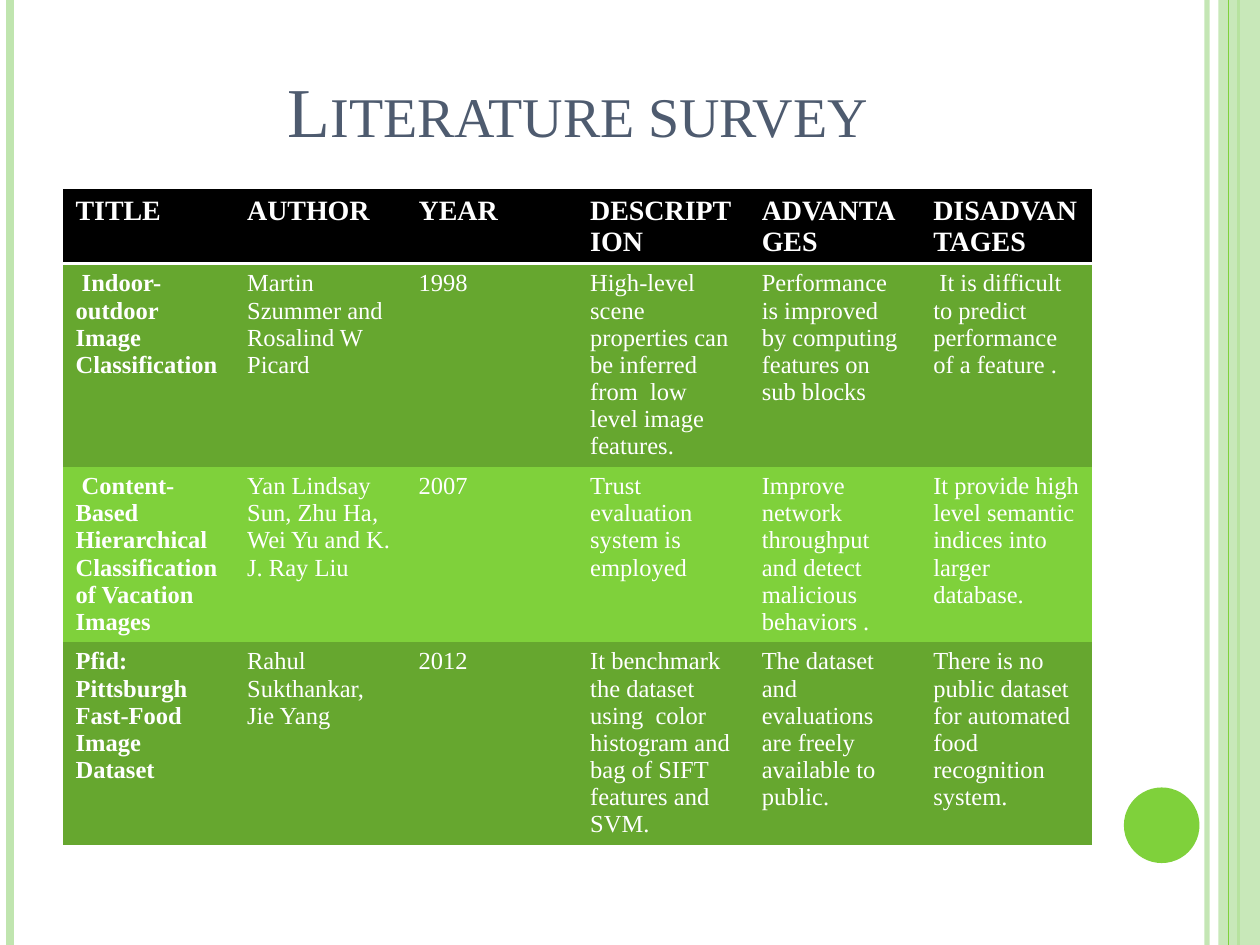
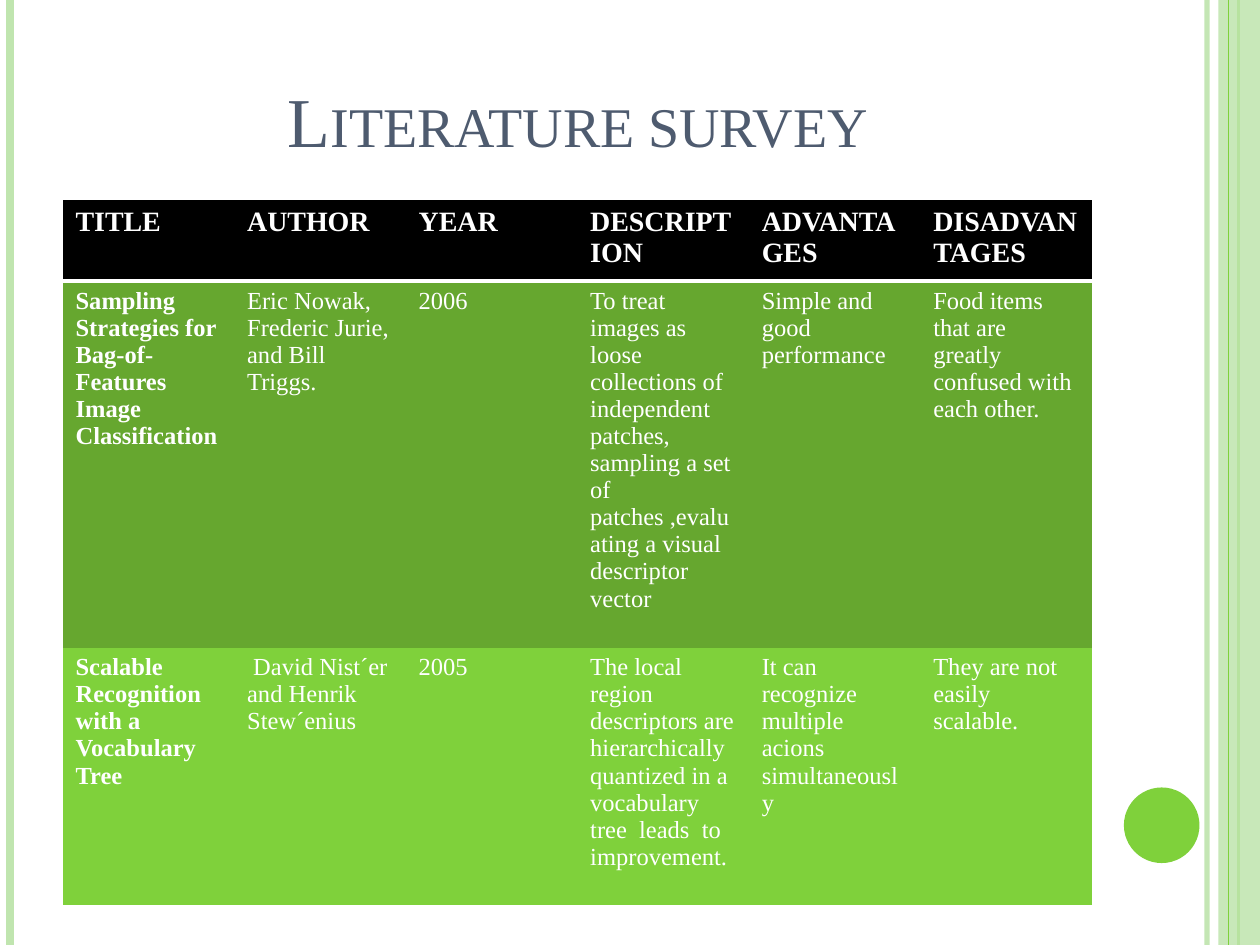
from lxml.etree import SubElement
from pptx import Presentation
from pptx.dml.color import RGBColor
from pptx.enum.shapes import MSO_CONNECTOR, MSO_SHAPE
from pptx.enum.text import MSO_ANCHOR, MSO_AUTO_SIZE, PP_ALIGN
from pptx.oxml import parse_xml
from pptx.oxml.ns import nsdecls, qn
from pptx.util import Inches, Pt

THEME = {
    "font": "Times New Roman",
    "title_size": 40, "header_size": 16, "cell_size": 14,
    "slate": "4E5B6F", "white": "FFFFFF", "black": "000000",
    "pale": "C0E5AF", "green": "7FD13B", "dark_green": "66A72F",
}
NO_TABLE_STYLE = "{2D5ABB26-0587-4C30-8999-92F81FD0307C}"


def write(paragraph, text, size, color, bold=False, italic=False, small_caps=False):
    """Add one formatted run to a paragraph."""
    run = paragraph.add_run()
    run.text = text
    font = run.font
    font.name, font.size = THEME["font"], Pt(size)
    font.bold, font.italic = bold, italic
    font.color.rgb = RGBColor.from_string(THEME[color])
    if small_caps:
        run._r.get_or_add_rPr().set("cap", "small")


def set_color(fill, color, opacity=100):
    """Make a fill solid, with an opacity in percent."""
    fill.solid()
    fill.fore_color.rgb = RGBColor.from_string(THEME[color])
    if opacity < 100:
        value = fill._xPr.find(qn("a:solidFill"))[0]
        SubElement(value, qn("a:alpha"), val=str(opacity * 1000))


# Side decoration, from back to front:
# rule: x, width in points, colour, opacity; shape: kind, box, colour, opacity
DECORATION = [
    ("rule", 9.58, 3, "pale", 93),
    ("rule", 0.08, 4.5, "pale", 100),
    ("rule", 9.83, 1.5, "green", 100),
    (MSO_SHAPE.RECTANGLE, (9.67, 0, 0.33, 7.5), None, "pale", 87),
    ("rule", 9.75, 0.75, "green", 100),
    (MSO_SHAPE.OVAL, (8.92, 6.25, 0.6, 0.6), None, "green", 100),
]

# Survey content; underscores enclose italics
HEADERS = ["TITLE", "AUTHOR", "YEAR", "DESCRIPTION", "ADVANTAGES", "DISADVANTAGES"]
SURVEYS = [
    {
        "title_height": 0.95, "table_top": 1.5,
        "row_heights": [0.59, 1.61, 1.39, 1.61],
        "papers": [
            [" Indoor-outdoor Image Classification",
             "Martin Szummer and Rosalind W Picard", "1998",
             "High-level scene properties can be inferred from  low level image features.",
             "Performance is improved by computing features on sub blocks",
             " It is difficult to predict performance of a feature ."],
            [" Content-Based Hierarchical Classification of Vacation Images",
             "Yan Lindsay Sun, Zhu Ha_,_ Wei Yu and K. J. Ray Liu", "2007",
             "Trust evaluation system is employed",
             "Improve network throughput and detect malicious behaviors .",
             "It provide high level semantic indices into larger database."],
            ["Pfid: Pittsburgh Fast-Food Image Dataset",
             "Rahul Sukthankar, Jie Yang", "2012",
             "It benchmark the dataset using  color histogram and bag of SIFT features and SVM.",
             "The dataset  and evaluations  are freely available to public.",
             "There is no public dataset for automated food  recognition system."],
        ],
    },
    {
        "title_height": 1.03, "table_top": 1.59,
        "row_heights": [0.64, 2.91, 2.04],
        "papers": [
            ["Sampling Strategies for Bag-of-Features Image Classification",
             "Eric Nowak, Frederic Jurie, and Bill Triggs.", "2006",
             "To treat images as loose collections of independent patches, "
             "sampling a set of patches ,evaluating a visual descriptor vector",
             "Simple and good performance",
             "Food items that are greatly confused with each other."],
            ["Scalable Recognition with a Vocabulary Tree",
             " David Nist´er and Henrik Stew´enius", "2005",
             "The local region descriptors are hierarchically quantized "
             "in a vocabulary tree  leads  to improvement.",
             "It can recognize multiple acions simultaneously",
             "They are not easily scalable."],
        ],
    },
]

presentation = Presentation()
presentation.slide_width, presentation.slide_height = Inches(10), Inches(7.5)
title_only = presentation.slide_layouts[5]

for survey in SURVEYS:
    slide = presentation.slides.add_slide(title_only)

    # Side rules, band and disc
    for kind, place, width, color, opacity in DECORATION:
        if kind == "rule":
            rule = slide.shapes.add_connector(
                MSO_CONNECTOR.STRAIGHT, Inches(place), 0,
                Inches(place), presentation.slide_height)
            rule.line.width = Pt(width)
            set_color(rule.line.fill, color, opacity)
            SubElement(rule._element.spPr, qn("a:effectLst"))
        else:
            shape = slide.shapes.add_shape(kind, *map(Inches, place))
            shape.shadow.inherit = False
            shape.line.fill.background()
            set_color(shape.fill, color, opacity)

    # Title
    title = slide.shapes.title
    title.left, title.top = Inches(0.5), Inches(0.3)
    title.width, title.height = Inches(8.17), Inches(survey["title_height"])
    frame = title.text_frame
    frame.auto_size = MSO_AUTO_SIZE.NONE
    frame.vertical_anchor = MSO_ANCHOR.BOTTOM
    frame.paragraphs[0].alignment = PP_ALIGN.CENTER
    write(frame.paragraphs[0], "Literature survey", THEME["title_size"], "slate",
          small_caps=True)

    # Survey table
    rows = [HEADERS] + survey["papers"]
    table = slide.shapes.add_table(
        len(rows), len(HEADERS), Inches(0.5), Inches(survey["table_top"]),
        Inches(8.17), Inches(sum(survey["row_heights"]))).table
    table._tbl.tblPr.find(qn("a:tableStyleId")).text = NO_TABLE_STYLE
    for row_index, (texts, height) in enumerate(zip(rows, survey["row_heights"])):
        table.rows[row_index].height = Inches(height)
        is_header = row_index == 0
        band = "black" if is_header else ("green", "dark_green")[row_index % 2]
        size = THEME["header_size" if is_header else "cell_size"]
        for column_index, text in enumerate(texts):
            cell = table.cell(row_index, column_index)
            set_color(cell.fill, band)
            for part_index, part in enumerate(text.split("_")):
                write(cell.text_frame.paragraphs[0], part, size, "white",
                      bold=is_header or column_index == 0, italic=part_index % 2 == 1)
            if is_header:
                border = parse_xml(
                    f'<a:lnB {nsdecls("a")} w="{Pt(2)}"><a:solidFill>'
                    f'<a:srgbClr val="{THEME["white"]}"/></a:solidFill></a:lnB>')
                cell._tc.get_or_add_tcPr().insert(0, border)

presentation.save("out.pptx")
